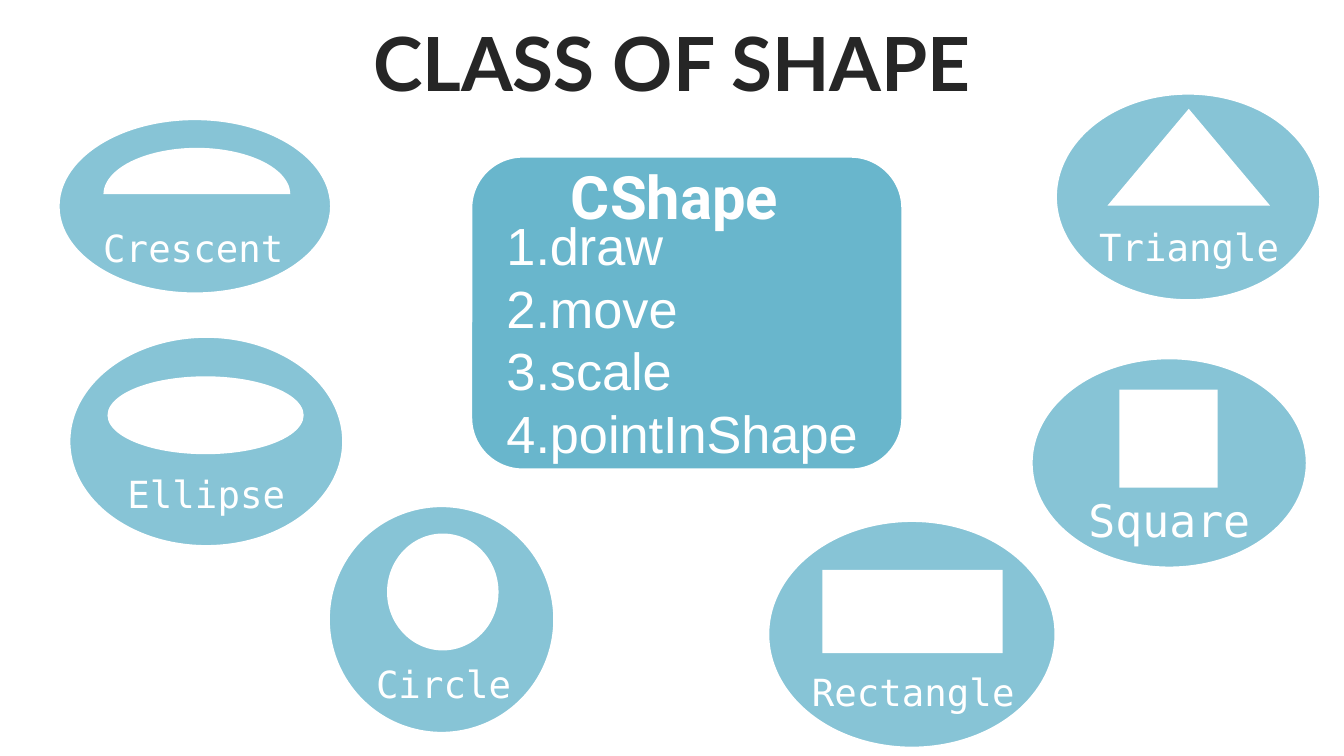
from pptx import Presentation
from pptx import util as u
from pptx.dml.color import RGBColor
from pptx.enum import shapes, text
from pptx.oxml.ns import qn
from lxml import etree

BLUE = RGBColor(0x69, 0xB6, 0xCC)
WHITE = RGBColor(0xFF, 0xFF, 0xFF)
DARK = RGBColor(0x26, 0x26, 0x26)
MONO = "DejaVu Sans Mono"
KIND = shapes.MSO_SHAPE
LEFT, CENTER = text.PP_ALIGN.LEFT, text.PP_ALIGN.CENTER

BUBBLES = [
    ((0.43, 0.88, 2.04, 1.31), KIND.PIE, (0.34, 0.22, 1.39, 0.69),
     (0.24, 0.75, 1.7, 0.44), "Crescent", 20, LEFT),
    ((0.51, 2.5, 2.05, 1.57), KIND.OVAL, (0.29, 0.3, 1.46, 0.58),
     (0.04, 0.96, 1.97, 0.44), "Ellipse", 20, CENTER),
    ((2.44, 3.76, 1.69, 1.7), KIND.OVAL, (0.44, 0.21, 0.83, 0.87),
     (0.05, 1.11, 1.62, 0.44), "Circle", 20, CENTER),
    ((7.85, 0.69, 1.98, 1.55), KIND.ISOSCELES_TRIANGLE, (0.39, 0.12, 1.21, 0.72),
     (0.23, 0.93, 1.89, 0.44), "Triangle", 20, LEFT),
    ((7.67, 2.66, 2.06, 1.57), KIND.RECTANGLE, (0.66, 0.24, 0.73, 0.73),
     (0.33, 0.96, 1.49, 0.5), "Square", 24, LEFT),
    ((5.71, 3.87, 2.15, 1.7), KIND.RECTANGLE, (0.41, 0.37, 1.34, 0.62),
     (0.01, 1.06, 2.15, 0.44), "Rectangle", 20, CENTER),
]


def inches(box):
    return [u.Inches(v) for v in box]


def within(box, part):
    return (box[0] + part[0], box[1] + part[1], part[2], part[3])


def write(tf, lines, size, font, color=WHITE, bold=False, align=LEFT,
          anchor=text.MSO_ANCHOR.TOP, spacing=None, numbered=False):
    tf.word_wrap = True
    tf.auto_size = text.MSO_AUTO_SIZE.NONE
    tf.vertical_anchor = anchor
    for i, line in enumerate(lines):
        p = tf.paragraphs[0] if i == 0 else tf.add_paragraph()
        p.alignment = align
        if spacing:
            p.line_spacing = u.Pt(spacing)
        if numbered:
            pPr = p._p.get_or_add_pPr()
            pPr.set("marL", str(u.Inches(0.25)))
            pPr.set("indent", str(-u.Inches(0.25)))
            etree.SubElement(pPr, qn("a:buAutoNum"), type="arabicPeriod")
        r = p.add_run()
        r.text = line
        r.font.size = u.Pt(size)
        r.font.name = font
        r.font.bold = bold
        r.font.color.rgb = color


def add_text(s, box, lines, size, font, **fmt):
    write(s.shapes.add_textbox(*inches(box)).text_frame, lines, size, font, **fmt)


def add_shape(s, kind, box, fill, outlined=False, alpha=None):
    sp = s.shapes.add_shape(kind, *inches(box))
    sp.shadow.inherit = False
    sp.fill.solid()
    sp.fill.fore_color.rgb = fill
    if alpha:
        clr = sp._element.spPr.find(qn("a:solidFill"))[0]
        etree.SubElement(clr, qn("a:alpha"), val=str(alpha * 1000))
    if outlined:
        sp.line.color.rgb = WHITE
        sp.line.width = u.Pt(2)
    else:
        sp.line.fill.background()
    return sp


def add_title(s, box):
    sp = s.shapes.title
    sp.left, sp.top, sp.width, sp.height = inches(box)
    write(sp.text_frame, ["CLASS OF SHAPE"], 40, "Lato", color=DARK, bold=True,
          align=CENTER, anchor=text.MSO_ANCHOR.MIDDLE)


def add_bubble(s, box, kind, inner, label_box, label, size, align):
    add_shape(s, KIND.OVAL, box, BLUE, outlined=True, alpha=80)
    sp = add_shape(s, kind, within(box, inner), WHITE)
    if kind == KIND.PIE:
        sp.rotation = 180
        sp.adjustments[0] = 0
        sp.adjustments[1] = 108
    add_text(s, within(box, label_box), [label], size, MONO, align=align)


def add_class_card(s, box):
    add_shape(s, KIND.ROUNDED_RECTANGLE, box, BLUE, outlined=True)
    add_text(s, within(box, (0.65, -0.02, 2.02, 0.64)), ["CShape"], 32, "Roboto",
             bold=True)
    add_text(s, within(box, (0.17, 0.38, 2.86, 1.99)),
             ["draw", "move", "scale", "pointInShape"], 28, "Arial",
             spacing=33.5, numbered=True)


def main():
    prs = Presentation()
    prs.slide_width = u.Inches(10)
    prs.slide_height = u.Inches(10 * 9 / 16)
    s = prs.slides.add_slide(prs.slide_layouts[5])
    add_title(s, (0, 0.14, 10, 0.63))
    for bubble in BUBBLES:
        add_bubble(s, *bubble)
    add_class_card(s, (3.5, 1.16, 3.22, 2.34))
    prs.save("out.pptx")


if __name__ == "__main__":
    main()
